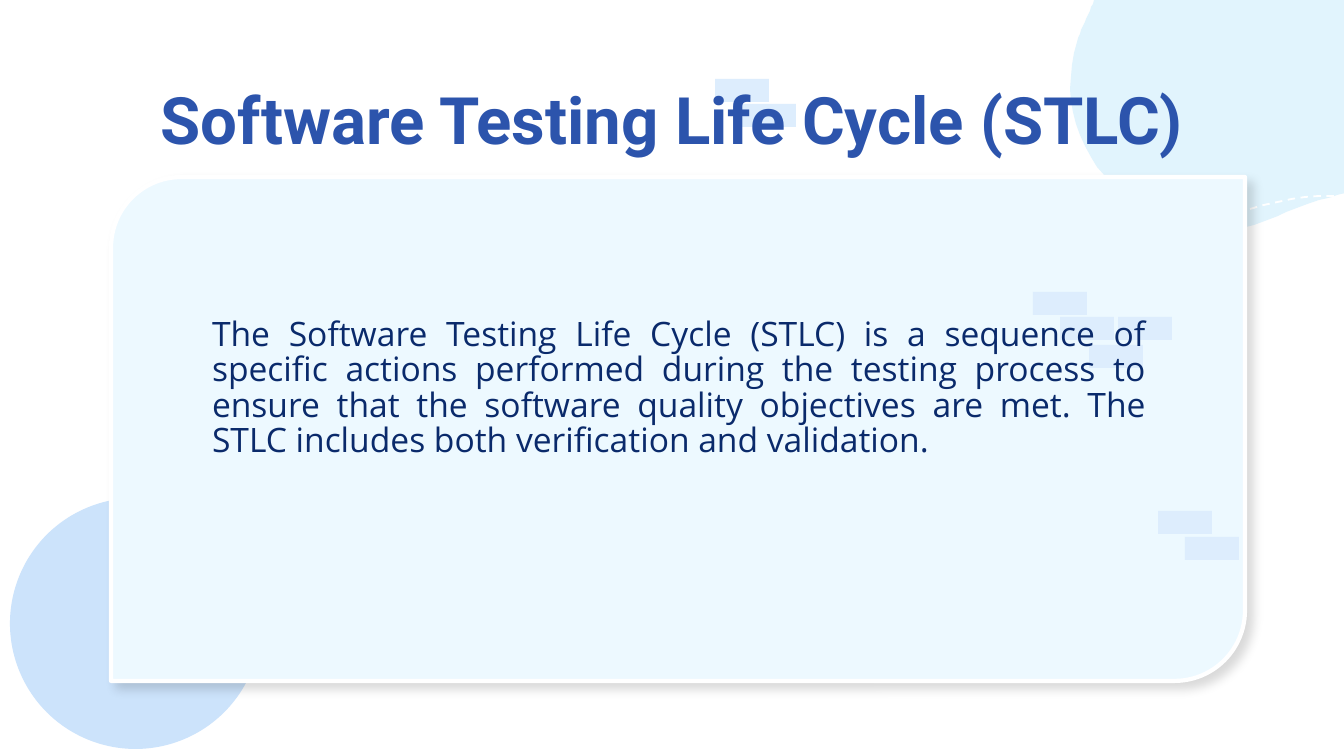
from dataclasses import dataclass

from lxml import etree
from pptx import Presentation
from pptx import util as u
from pptx.dml.color import RGBColor
from pptx.enum import dml, shapes, text
from pptx.oxml.ns import qn

# Content
TITLE = "Software Testing Life Cycle (STLC)"
BODY = (
    "The Software Testing Life Cycle (STLC) is a sequence of specific actions "
    "performed during the testing process to ensure that the software quality "
    "objectives are met. The STLC includes both verification and validation."
)

# Geometry in px
SLIDE_SIZE = (1344, 756)
CIRCLE_BOX = (10, 498, 251, 251)
CARD_BOX = (111, 177, 1134, 504)
BODY_BOX = (199, 305, 960, 231)
TITLE_BOX = (105, 66, 1134, 84)
INSET = 13
BRICK_SIZE = (54, 23)
BRICKS = [
    (1185, 537), (1158, 511),
    (742, 104), (715, 79),
    (1118, 317), (1060, 317), (1089, 345), (1033, 292),
]

# Cloud outline: a start point, then two control points and an end per curve
CLOUD_START = (1439, -224)
CLOUD_CURVES = [
    (1470, -224, 1500, -211, 1520, -188), (1541, -163, 1562, -115, 1551, -71),
    (1547, -46, 1539, -22, 1542, 4), (1542, 20, 1551, 36, 1556, 51),
    (1568, 89, 1558, 130, 1532, 159), (1512, 180, 1490, 191, 1466, 194),
    (1436, 198, 1410, 188, 1383, 190), (1364, 190, 1345, 192, 1328, 198),
    (1292, 207, 1262, 225, 1230, 231), (1223, 233, 1216, 233, 1210, 233),
    (1187, 233, 1165, 224, 1145, 211), (1130, 202, 1117, 188, 1105, 176),
    (1073, 140, 1062, 87, 1077, 42), (1082, 26, 1091, 11, 1095, -4),
    (1098, -12, 1098, -20, 1098, -28), (1098, -73, 1070, -118, 1090, -159),
    (1101, -187, 1130, -206, 1157, -210), (1188, -217, 1225, -212, 1257, -204),
    (1279, -198, 1309, -184, 1335, -184), (1362, -184, 1380, -207, 1403, -216),
    (1414, -222, 1427, -224, 1439, -224),
]
CURVE_STEPS = 12
STITCH = [(1250, 209), (1264, 205), (1278, 202), (1292, 199), (1306, 197),
          (1320, 196), (1344, 196)]


@dataclass(frozen=True)
class Theme:
    cloud: str = "E1F4FD"
    circle: str = "CCE3FB"
    card: str = "EDF9FF"
    brick: str = "DDEDFD"
    white: str = "FFFFFF"
    shadow: str = "000000"
    title: str = "2C54AC"
    body: str = "0A2A6B"
    title_font: str = "Roboto"
    body_font: str = "Open Sans"
    title_size: int = 35
    body_size: int = 18


THEME = Theme()
SCALE = u.Inches(1) / 134.4


def px(value):
    return u.Emu(round(value * SCALE))


def paint(shape, color):
    shape.shadow.inherit = False
    shape.fill.solid()
    shape.fill.fore_color.rgb = RGBColor.from_string(color)
    shape.line.fill.background()
    return shape


def add_block(slide, kind, box, color):
    return paint(slide.shapes.add_shape(kind, *map(px, box)), color)


def add_outline(slide, points, closed):
    builder = slide.shapes.build_freeform(*points[0], scale=SCALE)
    builder.add_line_segments(points[1:], close=closed)
    return builder.convert_to_shape()


def curve_points(start, curves):
    points = [start]
    for x1, y1, x2, y2, x3, y3 in curves:
        x0, y0 = points[-1]
        for step in range(1, CURVE_STEPS + 1):
            t = step / CURVE_STEPS
            s = 1 - t
            weights = (s**3, 3 * s * s * t, 3 * s * t * t, t**3)
            points.append(tuple(
                sum(w * c for w, c in zip(weights, axis))
                for axis in ((x0, x1, x2, x3), (y0, y1, y2, y3))
            ))
    return points


def add_card_shadow(shape):
    effects = shape._element.spPr.find(qn("a:effectLst"))
    outer = etree.SubElement(
        effects, qn("a:outerShdw"), blurRad=str(u.Pt(5.6)), dist=str(u.Pt(4.5)),
        dir=str(44 * 60000), algn="bl", rotWithShape="0")
    color = etree.SubElement(outer, qn("a:srgbClr"), val=THEME.shadow)
    etree.SubElement(color, qn("a:alpha"), val="15000")


def add_text(slide, box, content, font_name, size, color, alignment,
             bold=False, spacing=1.0):
    frame = slide.shapes.add_textbox(*map(px, box)).text_frame
    frame.word_wrap = True
    frame.vertical_anchor = text.MSO_ANCHOR.TOP
    frame.margin_left = frame.margin_right = px(INSET)
    frame.margin_top = frame.margin_bottom = px(INSET)
    frame.text = content
    paragraph = frame.paragraphs[0]
    paragraph.alignment = alignment
    paragraph.line_spacing = spacing
    font = paragraph.runs[0].font
    font.name, font.size, font.bold = font_name, u.Pt(size), bold
    font.color.rgb = RGBColor.from_string(color)


def main():
    presentation = Presentation()
    presentation.slide_width, presentation.slide_height = map(px, SLIDE_SIZE)
    slide = presentation.slides.add_slide(presentation.slide_layouts[6])

    # Background cloud with its dashed stitch, and circle
    paint(add_outline(slide, curve_points(CLOUD_START, CLOUD_CURVES), True), THEME.cloud)
    stitch = add_outline(slide, STITCH, False)
    stitch.shadow.inherit = False
    stitch.fill.background()
    stitch.line.color.rgb = RGBColor.from_string(THEME.white)
    stitch.line.width = u.Pt(1)
    stitch.line.dash_style = dml.MSO_LINE.DASH
    add_block(slide, shapes.MSO_SHAPE.OVAL, CIRCLE_BOX, THEME.circle)

    # Card
    card = add_block(slide, shapes.MSO_SHAPE.ROUND_2_DIAG_RECTANGLE, CARD_BOX, THEME.card)
    card.adjustments[0], card.adjustments[1] = 0.14, 0
    card.line.color.rgb = RGBColor.from_string(THEME.white)
    card.line.width = u.Pt(2.25)
    add_card_shadow(card)

    # Brick accents
    for corner in BRICKS:
        add_block(slide, shapes.MSO_SHAPE.RECTANGLE, corner + BRICK_SIZE, THEME.brick)

    # Text
    add_text(slide, BODY_BOX, BODY, THEME.body_font, THEME.body_size, THEME.body,
             text.PP_ALIGN.JUSTIFY, spacing=0.88)
    add_text(slide, TITLE_BOX, TITLE, THEME.title_font, THEME.title_size, THEME.title,
             text.PP_ALIGN.CENTER, bold=True)

    presentation.save("out.pptx")


if __name__ == "__main__":
    main()
